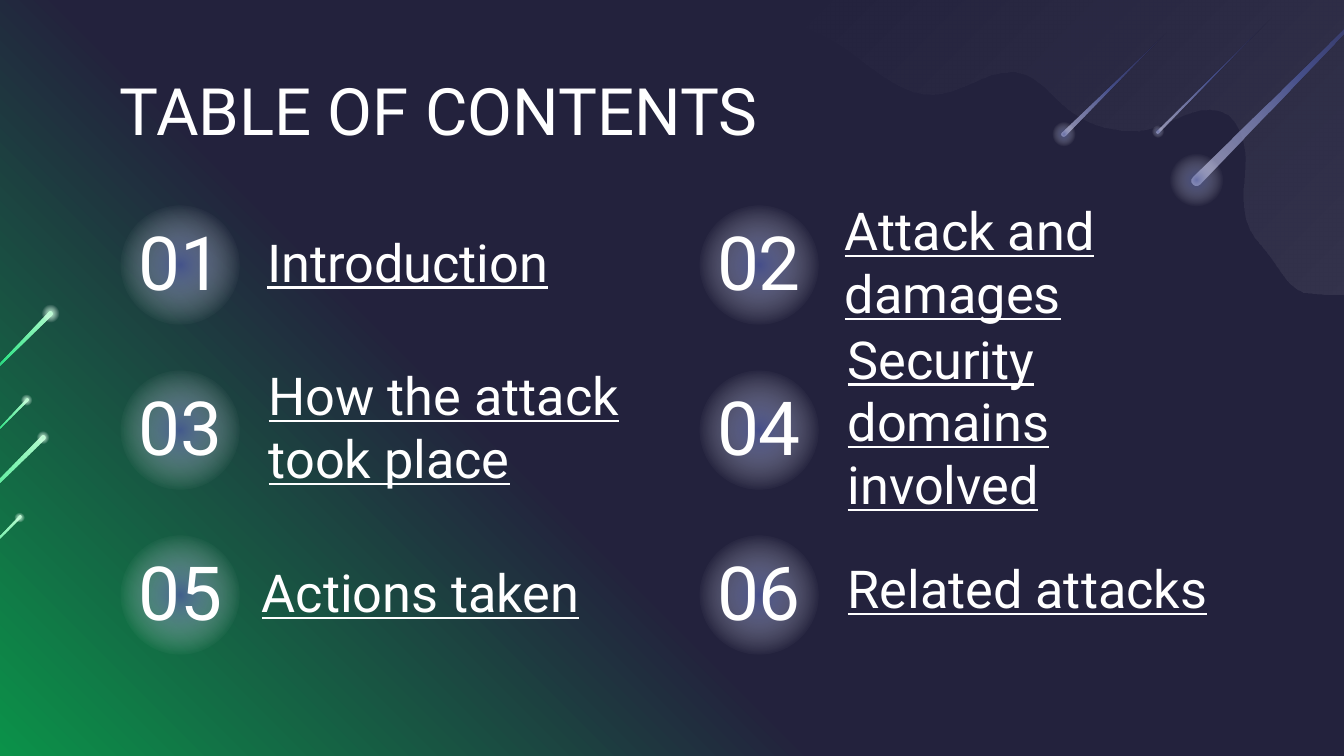
from math import atan2, cos, pi, sin

from lxml import etree
from pptx import Presentation
from pptx.dml.color import RGBColor
from pptx.enum import shapes, text
from pptx.oxml.ns import nsdecls, qn
from pptx.util import Cm, Pt

FONT, WHITE = "Roboto", "FFFFFF"
INSET = Cm(0.25)

# Gradient stops: position %, colour, opacity %
NIGHT = [(0, "0B9249", 100), (39, "23223D", 100), (100, "23223D", 100)]
HAZE = [(0, WHITE, 0), (100, WHITE, 8)]
NUMBER_GLOW = [(0, "515EA6", 74), (72, WHITE, 0), (100, WHITE, 0)]
VIOLET_GLOW = [(0, "515EA6", 60), (66, WHITE, 0), (100, WHITE, 0)]
GREEN_GLOW = [(0, "B7FDD0", 100), (50, WHITE, 0), (100, WHITE, 0)]
VIOLET_TAIL = [(0, "24224D", 50), (54, "515EA6", 72), (100, "E2E1FF", 60)]
GREEN_TAIL = [(0, "24224D", 50), (54, "33E689", 100), (100, "B7FDD0", 100)]

# Start of the wave, then cubic curves as two controls and an end, in cm
WAVE_START = (25.1, 5.56)
WAVE_CURVES = [
    ((25.04, 5.56), (25.02, 5.56), (24.97, 5.54)),
    ((24.84, 5.54), (24.74, 5.51), (24.61, 5.51)),
    ((24.31, 5.38), (24.16, 5.05), (23.95, 4.78)),
    ((23.83, 4.62), (23.67, 4.47), (23.6, 4.29)),
    ((23.42, 3.94), (23.5, 3.53), (23.52, 3.12)),
    ((23.55, 2.74), (23.44, 2.26), (23.09, 2.11)),
    ((23.01, 2.08), (22.91, 2.06), (22.83, 2.06)),
    ((22.4, 2.06), (21.95, 2.41), (21.54, 2.46)),
    ((21.49, 2.46), (21.41, 2.46), (21.34, 2.46)),
    ((20.9, 2.46), (20.47, 2.31), (20.14, 2.03)),
    ((19.86, 1.8), (19.63, 1.45), (19.25, 1.37)),
    ((19.2, 1.35), (19.13, 1.35), (19.08, 1.35)),
    ((18.59, 1.35), (18.16, 1.75), (17.65, 1.78)),
    ((17.63, 1.78), (17.6, 1.78), (17.58, 1.78)),
    ((17.15, 1.78), (16.76, 1.5), (16.41, 1.24)),
    ((16.1, 0.99), (15.77, 0.76), (15.42, 0.61)),
    ((15.09, 0.48), (14.76, 0.2), (14.63, -0.13)),
]
WAVE_CORNERS = [(25.5, -0.13), (25.5, 5.54)]

# Head centre, tail tip, tail radius, glow width and height, in cm
VIOLET_METEORS = [
    ((20.11, 2.54), (22.05, 0.61), 0.05, 0.48, 0.46),
    ((21.89, 2.49), (24.03, 0.33), 0.03, 0.25, 0.22),
    ((22.61, 3.4), (26.95, -0.97), 0.1, 1.12, 1),
]
GREEN_METEORS = [
    ((0.95, 5.93), (-0.97, 7.87), 0.05, 0.48, 0.44),
    ((0.51, 7.57), (-0.71, 8.81), 0.03, 0.3, 0.28),
    ((0.81, 8.28), (-2.21, 11.3), 0.05, 0.36, 0.3),
    ((0.37, 9.78), (-1.75, 11.94), 0.03, 0.28, 0.22),
]

# Topic with the left and top of its box, in cm, row by row
TOPICS = [
    ("Introduction", 4.8, 4.42), ("Attack and damages", 15.72, 4.42),
    ("How the attack took place", 4.83, 7.54),
    ("Security domains involved", 15.77, 7.44),
    ("Actions taken", 4.7, 10.67), ("Related attacks", 15.77, 10.59),
]
COLUMNS, FIRST_ROW, ROW_PITCH = (2.29, 13.23), 3.89, 3.12


def rgb(value):
    return RGBColor.from_string(value)


def set_gradient(fill, parent, stops, angle=None):
    """Fill with stops: linear at a clockwise angle, or radial without one."""
    fill.solid()
    marks = "".join(
        f'<a:gs pos="{pos * 1000}"><a:srgbClr val="{rgb(value)}">'
        f'<a:alpha val="{opacity * 1000}"/></a:srgbClr></a:gs>'
        for pos, value, opacity in stops)
    if angle is None:
        shade = ('<a:path path="circle"><a:fillToRect l="50000" t="50000" '
                 'r="50000" b="50000"/></a:path>')
    else:
        shade = f'<a:lin ang="{angle * 60000}" scaled="0"/>'
    grad = etree.fromstring(f'<a:gradFill {nsdecls("a")} rotWithShape="1">'
                            f'<a:gsLst>{marks}</a:gsLst>{shade}</a:gradFill>')
    parent.replace(parent.find(qn("a:solidFill")), grad)


def style_shape(sp, stops, angle=None):
    sp.shadow.inherit = False
    sp.line.fill.background()
    set_gradient(sp.fill, sp.element.spPr, stops, angle)


def add_outline(s, points, stops, angle):
    start, *rest = [(Cm(x), Cm(y)) for x, y in points]
    builder = s.shapes.build_freeform(*start)
    builder.add_line_segments(rest, close=True)
    sp = builder.convert_to_shape()
    style_shape(sp, stops, angle)
    return sp


def add_glow(s, x, y, w, h, stops):
    sp = s.shapes.add_shape(shapes.MSO_SHAPE.OVAL, Cm(x), Cm(y), Cm(w), Cm(h))
    style_shape(sp, stops)


def curve_points(start, curves, steps=8):
    points = [start]
    for c1, c2, end in curves:
        p0 = points[-1]
        for t in (i / steps for i in range(1, steps + 1)):
            points.append(tuple(
                (1 - t) ** 3 * a + 3 * (1 - t) ** 2 * t * b
                + 3 * (1 - t) * t ** 2 * c + t ** 3 * d
                for a, b, c, d in zip(p0, c1, c2, end)))
    return points


def add_wave(s):
    points = curve_points(WAVE_START, WAVE_CURVES) + WAVE_CORNERS
    turned = [(40.13 - x, 5.43 - y) for x, y in points]
    add_outline(s, turned, HAZE, 225).rotation = 180


def add_meteor(s, head, tip, radius, w, h, tail, glow, angle):
    """Draw a tail narrowing from a round head to its tip, and the glow."""
    x, y = head
    heading = atan2(tip[1] - y, tip[0] - x)
    turns = [heading + pi / 2 + pi * i / 6 for i in range(7)]
    cap = [(x + radius * cos(a), y + radius * sin(a)) for a in turns]
    add_outline(s, [tip] + cap, tail, angle)
    add_glow(s, x - w / 2, y - h / 2, w, h, glow)


def write(sp, words, size, align, anchor, underline=None):
    tf = sp.text_frame
    tf.word_wrap = True
    tf.auto_size = text.MSO_AUTO_SIZE.NONE
    tf.vertical_anchor = anchor
    tf.margin_left = tf.margin_right = tf.margin_top = tf.margin_bottom = INSET
    p = tf.paragraphs[0]
    p.text = words
    p.alignment = align
    p.font.name, p.font.size, p.font.underline = FONT, Pt(size), underline
    p.font.color.rgb = rgb(WHITE)


def add_title(s, words):
    sp = s.shapes.title
    sp.left, sp.top, sp.width, sp.height = Cm(2.01), Cm(1.07), Cm(21.41), Cm(1.65)
    write(sp, words, 35, text.PP_ALIGN.LEFT, text.MSO_ANCHOR.TOP)


def add_entry(s, index, topic, left, top):
    row, column = divmod(index, 2)
    x, y = COLUMNS[column], FIRST_ROW + row * ROW_PITCH
    add_glow(s, x, y, 2.24, 2.24, NUMBER_GLOW)
    number = s.shapes.add_textbox(Cm(x + 0.05), Cm(y + 0.3), Cm(2.13), Cm(1.47))
    write(number, f"{index + 1:02}", 40, text.PP_ALIGN.CENTER,
          text.MSO_ANCHOR.MIDDLE)
    label = s.shapes.add_textbox(Cm(left), Cm(top), Cm(7.35), Cm(1.04))
    write(label, topic, 28, text.PP_ALIGN.LEFT, text.MSO_ANCHOR.MIDDLE, True)


def main():
    prs = Presentation()
    prs.slide_width, prs.slide_height = Cm(25.4), Cm(14.29)
    s = prs.slides.add_slide(prs.slide_layouts[5])
    fill = s.background.fill
    fill.solid()
    set_gradient(fill, s.element.find(".//" + qn("p:bgPr")), NIGHT, 315)
    add_wave(s)
    for meteor in VIOLET_METEORS:
        add_meteor(s, *meteor, VIOLET_TAIL, VIOLET_GLOW, 135)
    for meteor in GREEN_METEORS:
        add_meteor(s, *meteor, GREEN_TAIL, GREEN_GLOW, 315)
    add_title(s, "TABLE OF CONTENTS")
    for index, entry in enumerate(TOPICS):
        add_entry(s, index, *entry)
    prs.save("out.pptx")


if __name__ == "__main__":
    main()
